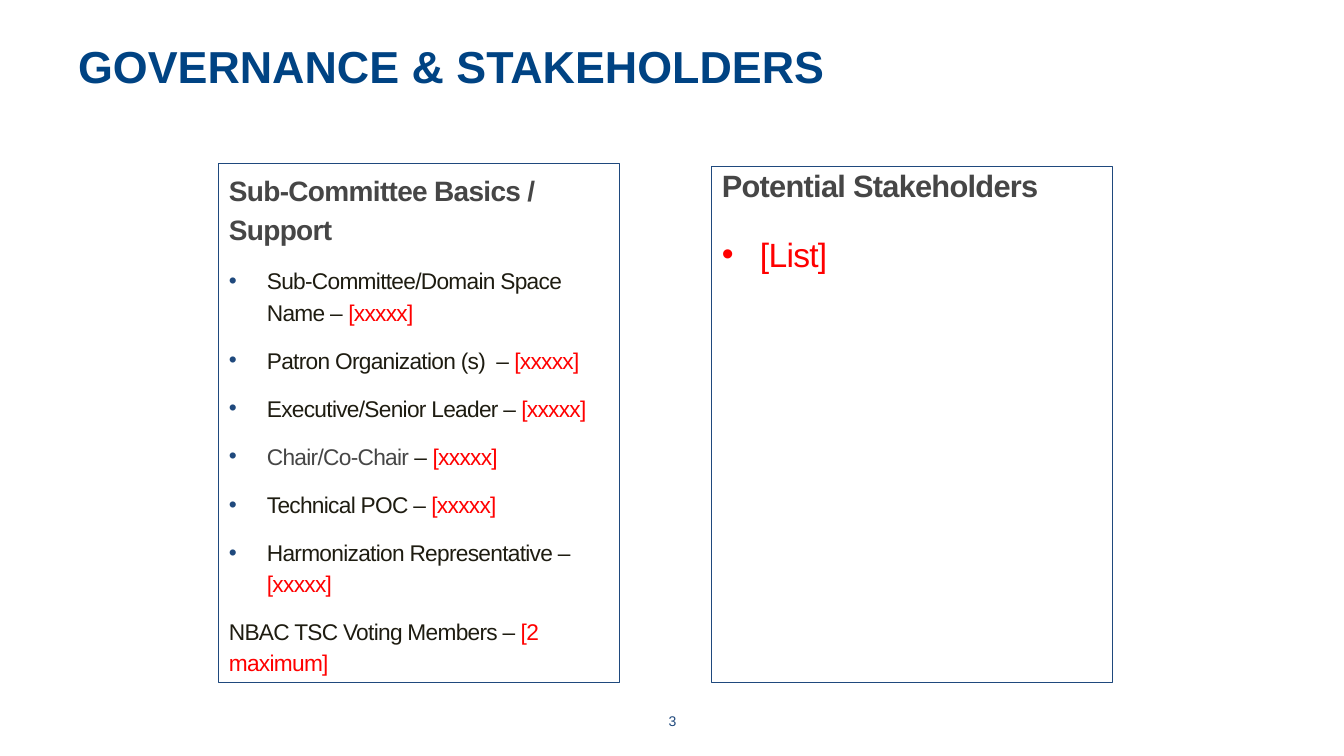
"""Build the governance and stakeholders slide."""
import dataclasses
import typing

import lxml.etree
import pptx
import pptx.dml.color
import pptx.enum.shapes
import pptx.enum.text
import pptx.oxml.ns
import pptx.util

ALIGN = pptx.enum.text.PP_ALIGN
ANCHOR = pptx.enum.text.MSO_ANCHOR


@dataclasses.dataclass(frozen=True)
class Theme:
    """Colours, type sizes and measures shared by the slide."""
    font: str = "Arial"
    title: str = "004383"
    navy: str = "1F497D"
    heading: str = "464646"
    body: str = "1E1C11"
    blank: str = "FF0000"
    title_size: float = 32
    basics_size: float = 20
    stakeholders_size: float = 22
    item_size: float = 16.2
    list_size: float = 24
    number_size: float = 10
    tracking: int = -50
    indent: int = 38
    border: float = 0.75


THEME = Theme()
EMU_PER_PIXEL = 914400 / 100.8


class Run(typing.NamedTuple):
    """A stretch of text in one colour."""
    text: str
    color: str


@dataclasses.dataclass(frozen=True)
class Line:
    """A paragraph and its format."""
    runs: tuple[Run, ...]
    size: float
    spacing: float = 1.15
    before: float = 12
    bold: bool = False
    bullet: str | None = None
    tracking: int = THEME.tracking
    align: ALIGN = ALIGN.LEFT


@dataclasses.dataclass(frozen=True)
class Panel:
    """A bordered box of paragraphs."""
    box: tuple[int, int, int, int]
    lines: tuple[Line, ...]


def px(pixels: int) -> int:
    """Turn pixels into EMU."""
    return round(pixels * EMU_PER_PIXEL)


def rgb(color: str) -> pptx.dml.color.RGBColor:
    """Read a hexadecimal colour."""
    return pptx.dml.color.RGBColor.from_string(color)


def assign(target: typing.Any, values: dict[str, typing.Any]) -> None:
    """Set every attribute named in values."""
    for name, value in values.items():
        setattr(target, name, value)


def add_bullet(paragraph: typing.Any, color: str) -> None:
    """Give a paragraph a hanging round bullet."""
    properties = paragraph._p.get_or_add_pPr()
    properties.set("marL", str(px(THEME.indent)))
    properties.set("indent", str(-px(THEME.indent)))
    qn = pptx.oxml.ns.qn
    tint = lxml.etree.SubElement(properties, qn("a:buClr"))
    lxml.etree.SubElement(tint, qn("a:srgbClr"), val=color)
    lxml.etree.SubElement(properties, qn("a:buFont"), typeface=THEME.font)
    lxml.etree.SubElement(properties, qn("a:buChar"), char="•")


def write(shape: typing.Any, lines: tuple[Line, ...], anchor: ANCHOR = ANCHOR.TOP) -> None:
    """Fill a shape with formatted paragraphs."""
    frame = shape.text_frame
    assign(frame, {"word_wrap": True, "vertical_anchor": anchor,
                   "auto_size": pptx.enum.text.MSO_AUTO_SIZE.NONE})
    for index, line in enumerate(lines):
        paragraph = frame.add_paragraph() if index else frame.paragraphs[0]
        assign(paragraph, {"alignment": line.align, "line_spacing": line.spacing,
                           "space_before": pptx.util.Pt(line.before)})
        if line.bullet:
            add_bullet(paragraph, line.bullet)
        for text, color in line.runs:
            run = paragraph.add_run()
            run.text = text
            assign(run.font, {"name": THEME.font, "size": pptx.util.Pt(line.size),
                              "bold": line.bold})
            run.font.color.rgb = rgb(color)
            if line.tracking:
                run._r.get_or_add_rPr().set("spc", str(line.tracking))


def place(shape: typing.Any, box: tuple[int, int, int, int]) -> None:
    """Move and size a shape in pixels."""
    assign(shape, dict(zip(("left", "top", "width", "height"), map(px, box))))


def draw_panel(slide: typing.Any, panel: Panel) -> None:
    """Draw a bordered panel with its text."""
    shape = slide.shapes.add_shape(pptx.enum.shapes.MSO_SHAPE.RECTANGLE, *map(px, panel.box))
    shape.shadow.inherit = False
    shape.fill.background()
    shape.line.color.rgb = rgb(THEME.navy)
    shape.line.width = pptx.util.Pt(THEME.border)
    write(shape, panel.lines)


def item(label: str, answer: str = "[xxxxx]", color: str = THEME.body,
         bullet: str | None = THEME.navy) -> Line:
    """Pair a label with the blank to be filled in."""
    return Line((Run(f"{label} ", color), Run("– ", THEME.body), Run(answer, THEME.blank)),
                THEME.item_size, bullet=bullet)


BASICS = Panel((219, 164, 401, 519), (
    Line((Run("Sub-Committee Basics / Support", THEME.heading),), THEME.basics_size, bold=True),
    item("Sub-Committee/Domain Space Name"),
    item("Patron Organization (s) "),
    item("Executive/Senior Leader"),
    item("Chair/Co-Chair", color=THEME.heading),
    item("Technical POC"),
    item("Harmonization Representative"),
    item("NBAC TSC Voting Members", "[2 maximum]", bullet=None),
))
STAKEHOLDERS = Panel((712, 167, 401, 516), (
    Line((Run("Potential Stakeholders", THEME.heading),), THEME.stakeholders_size, 0.85, bold=True),
    Line((Run("[List]", THEME.blank),), THEME.list_size, 1.35, bullet=THEME.blank),
))


def main() -> None:
    """Assemble and save the slide."""
    deck = pptx.Presentation()
    assign(deck, {"slide_width": px(1344), "slide_height": px(756)})
    slide = deck.slides.add_slide(deck.slide_layouts[5])
    title = slide.shapes.title
    place(title, (68, 42, 1210, 90))
    write(title, (Line((Run("GOVERNANCE & STAKEHOLDERS", THEME.title),), THEME.title_size,
                       0.85, 0, bold=True, tracking=0),))
    for panel in (BASICS, STAKEHOLDERS):
        draw_panel(slide, panel)
    page_number = slide.shapes.add_textbox(*map(px, (460, 701, 425, 40)))
    write(page_number, (Line((Run("3", THEME.navy),), THEME.number_size, 1, 0,
                             tracking=0, align=ALIGN.CENTER),), ANCHOR.MIDDLE)
    deck.save("out.pptx")


main()
